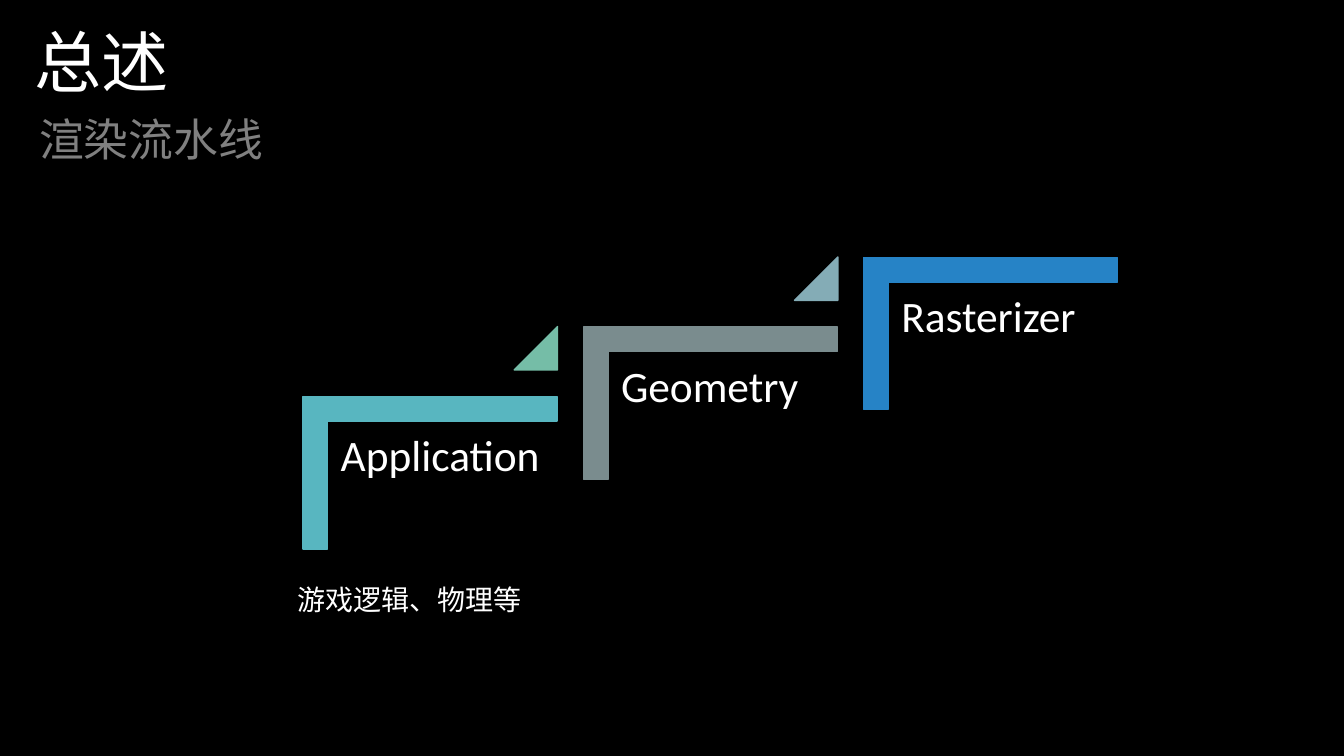
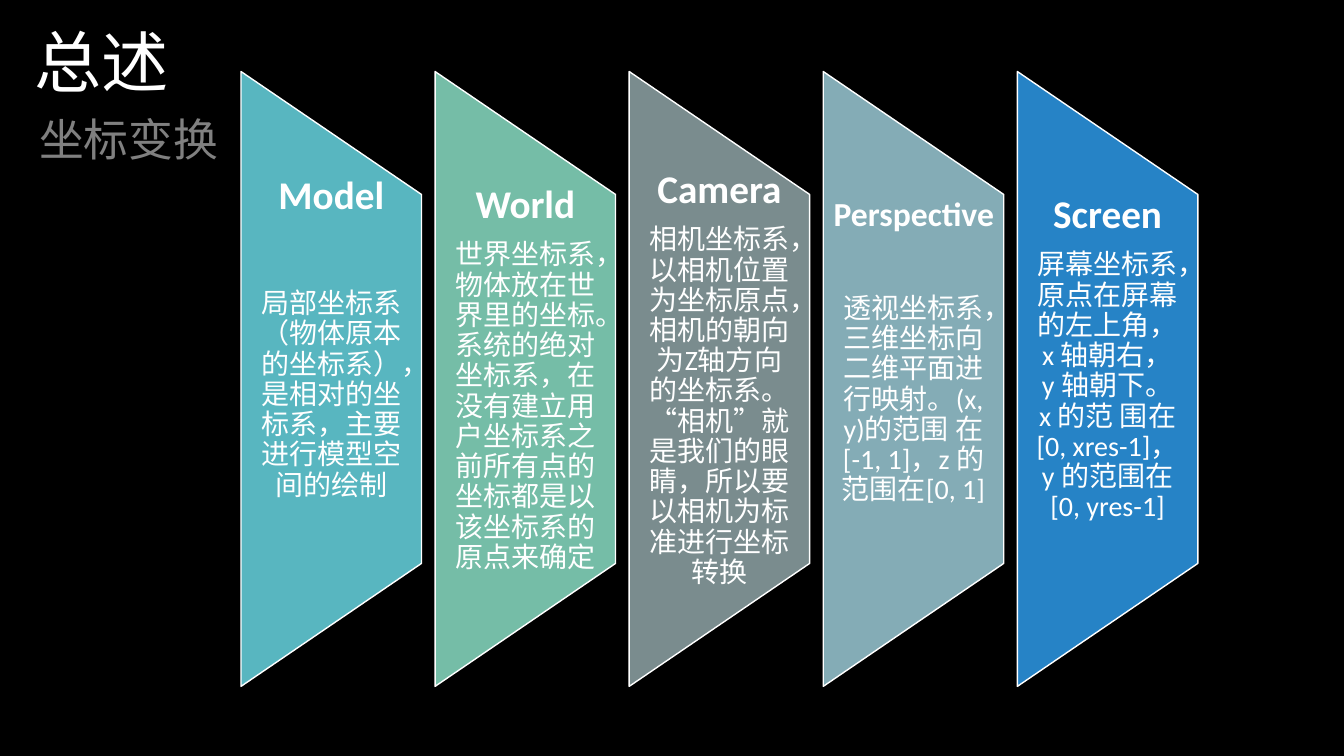
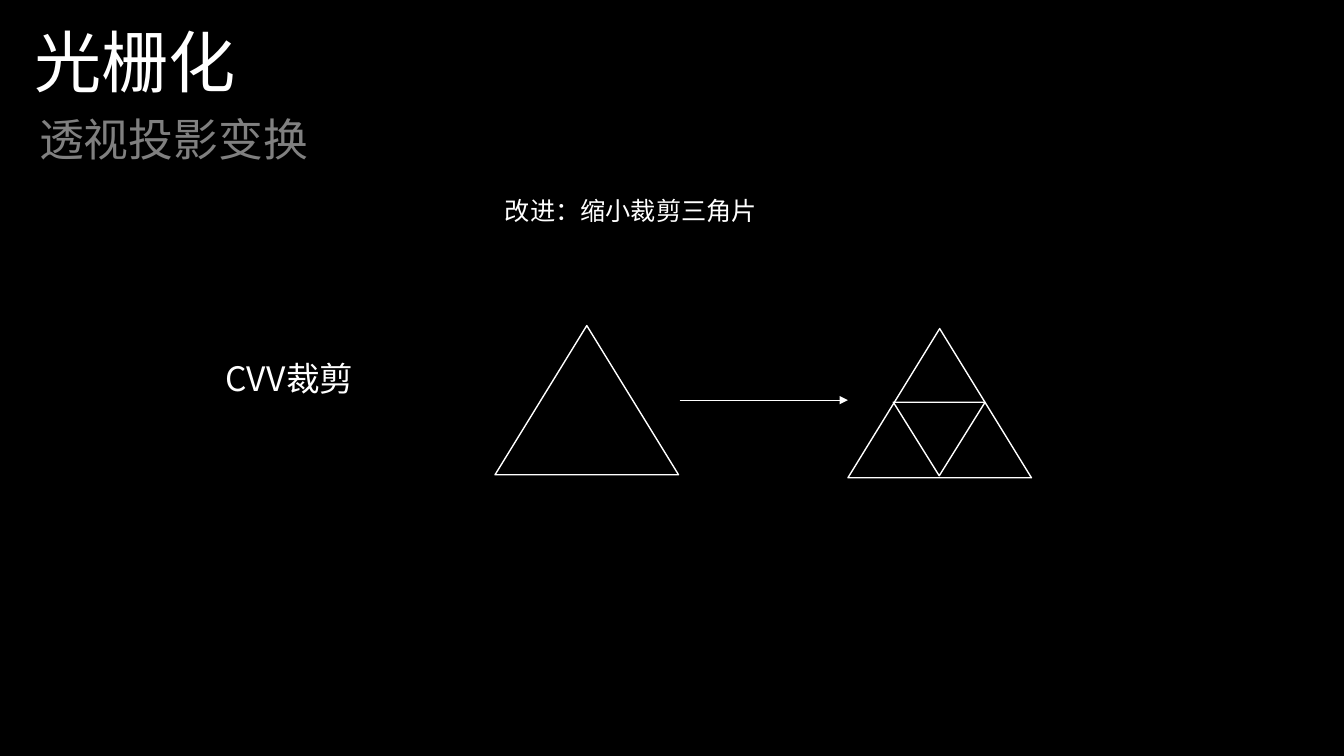
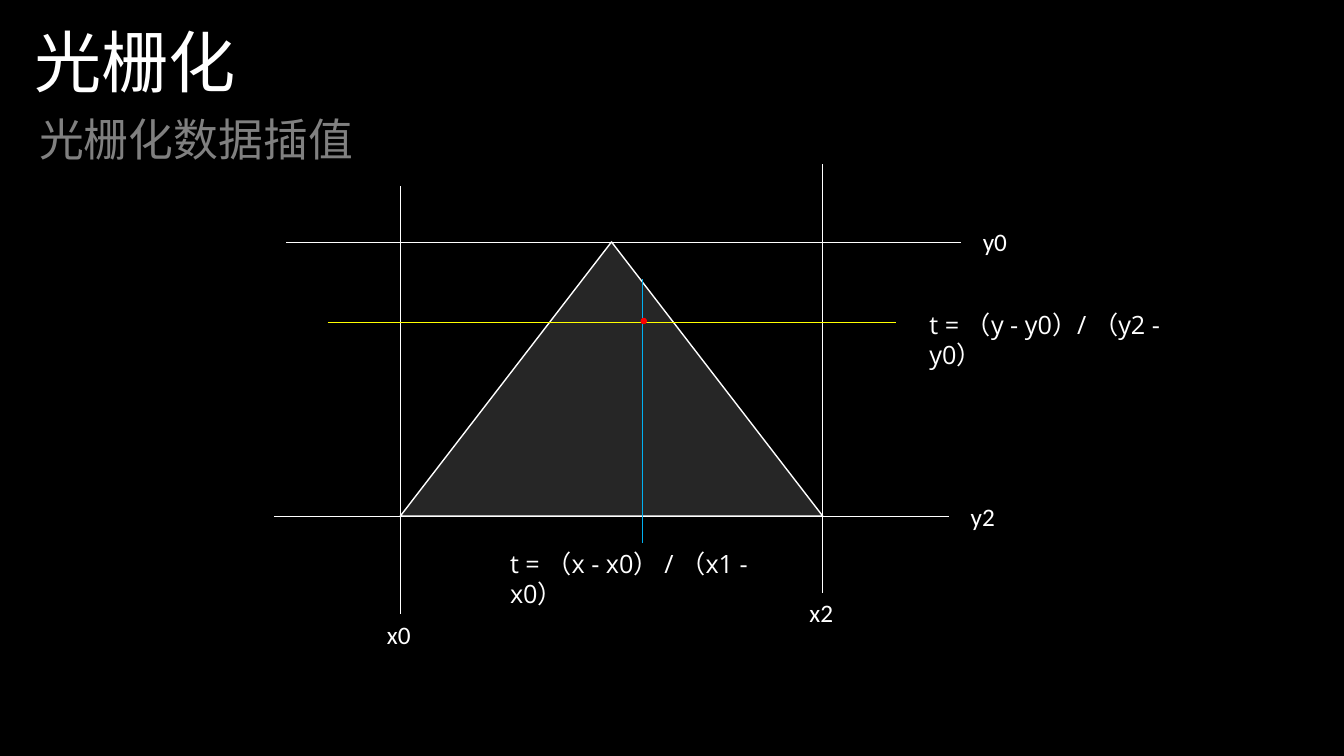
from lxml import etree
from pptx import Presentation
from pptx.dml.color import RGBColor
from pptx.enum import lang, shapes, text
from pptx.oxml import ns
from pptx.util import Inches, Pt

BLACK = RGBColor(0x00, 0x00, 0x00)
WHITE = RGBColor(0xFF, 0xFF, 0xFF)
GRAY = RGBColor(0x80, 0x80, 0x80)
CHARCOAL = RGBColor(0x26, 0x26, 0x26)
TEAL = RGBColor(0x58, 0xB6, 0xC0)
GREEN = RGBColor(0x75, 0xBD, 0xA7)
SLATE = RGBColor(0x7A, 0x8C, 0x8E)
MIST = RGBColor(0x84, 0xAC, 0xB6)
BLUE = RGBColor(0x26, 0x83, 0xC6)
YELLOW = RGBColor(0xFF, 0xFF, 0x00)
CYAN = RGBColor(0x00, 0xB0, 0xF0)
RED = RGBColor(0xFF, 0x00, 0x00)

LATIN_FONT = "Calibri"
CJK_FONT = "Noto Sans CJK SC"
FORMULA_FONT = "Open Sans"

COLUMN_TOP, COLUMN_WIDTH, COLUMN_HEIGHT = 0.71, 1.79, 6.1
COLUMN_SLOPE = 1.22
COLUMN_LEFT = 2.39
COLUMN_PITCH = (10.09 - COLUMN_LEFT) / 4

COLUMNS = [
    ("Model", "局部坐标系（物体原本的坐标系），是相对的坐标系，主要进行模型空间的绘制",
     TEAL, 0.19, 41, 0, 0.8),
    ("World", "世界坐标系，物体放在世界里的坐标。系统的绝对坐标系，在没有建立用户坐标系之前"
     "所有点的坐标都是以该坐标系的原点来确定", GREEN, 0.19, 0, 0, 0),
    ("Camera", "相机坐标系，以相机位置为坐标原点，相机的朝向为Z轴方向的坐标系。"
     "“相机”就是我们的眼睛，所以要以相机为标准进行坐标转换", SLATE, 0.19, 0, 0, 0),
    (None, "透视坐标系，三维坐标向二维平面进行映射。(x, y)的范围 在[-1, 1]，z 的范围在[0, 1]",
     MIST, 0.17, 0, 0.42, 0),
    ("Screen", "屏幕坐标系，原点在屏幕的左上角，x 轴朝右，y 轴朝下。"
     "x 的范 围在[0, xres-1]，y 的范围在[0, yres-1]", BLUE, 0.19, 0, 0, 0.4),
]


def add_run(paragraph, words, size, font=LATIN_FONT, color=WHITE, bold=False):
    run = paragraph.add_run()
    run.text = words
    run.font.name = font
    run.font.size = Pt(size)
    run.font.bold = bold
    run.font.color.rgb = color
    run.font.language_id = lang.MSO_LANGUAGE_ID.SIMPLIFIED_CHINESE


def set_margins(frame, left, top, right, bottom):
    frame.margin_left, frame.margin_top = Inches(left), Inches(top)
    frame.margin_right, frame.margin_bottom = Inches(right), Inches(bottom)


def add_text(slide, box, words, size, font=LATIN_FONT, color=WHITE, bold=False):
    frame = slide.shapes.add_textbox(*map(Inches, box)).text_frame
    frame.word_wrap = True
    add_run(frame.paragraphs[0], words, size, font, color, bold)
    return frame


def paint(shape, fill, line):
    shape.shadow.inherit = False
    if fill is None:
        shape.fill.background()
    else:
        shape.fill.solid()
        shape.fill.fore_color.rgb = fill
    shape.line.color.rgb = line
    shape.line.width = Pt(1)


def add_shape(slide, kind, box, fill=None, line=WHITE, rotation=0):
    shape = slide.shapes.add_shape(kind, *map(Inches, box))
    shape.rotation = rotation
    paint(shape, fill, line)
    return shape


def add_triangle(slide, box, **options):
    return add_shape(slide, shapes.MSO_SHAPE.ISOSCELES_TRIANGLE, box, **options)


def add_corner(slide, box, color, thickness):
    shape = add_shape(slide, shapes.MSO_SHAPE.RECTANGLE, box, color, color, 90)
    geometry = shape._element.spPr.find(ns.qn("a:prstGeom"))
    geometry.set("prst", "corner")
    guides = geometry.find(ns.qn("a:avLst"))
    for name in ("adj1", "adj2"):
        etree.SubElement(guides, ns.qn("a:gd"), name=name, fmla=f"val {thickness}")


def add_line(slide, start, end, color=WHITE, arrow=False):
    connector = slide.shapes.add_connector(
        shapes.MSO_CONNECTOR.STRAIGHT, *map(Inches, start + end))
    connector.line.color.rgb = color
    connector.line.width = Pt(0.5)
    if arrow:
        outline = connector._element.spPr.find(ns.qn("a:ln"))
        etree.SubElement(outline, ns.qn("a:tailEnd"), type="triangle")
    etree.SubElement(connector._element.spPr, ns.qn("a:effectLst"))


def add_titled_slide(presentation, title, subtitle, title_font):
    slide = presentation.slides.add_slide(presentation.slide_layouts[6])
    add_text(slide, (0.24, 0.15, 2.28, 0.91), title, 48, title_font)
    add_text(slide, (0.29, 1.06, 3.33, 0.64), subtitle, 32, color=GRAY)
    return slide


def add_step(slide, index, label, color, triangle_color):
    right, up = 2.78 * index, 0.69 * index
    add_corner(slide, (3.51 + right, 3.43 - up, 1.51, 2.52), color, 16100)
    frame = add_text(slide, (3.25 + right, 4.18 - up, 2.27, 1.99), label, 31)
    set_margins(frame, 0.13, 0.13, 0.13, 0.13)
    frame.paragraphs[0].line_spacing = 0.9
    if triangle_color is not None:
        triangle = add_triangle(slide, (5.1 + right, 3.24 - up, 0.43, 0.43),
                                fill=triangle_color, line=triangle_color)
        triangle.adjustments[0] = 1


def add_column(slide, index, heading, body, color, side, gap, extra_top, extra_bottom):
    left = COLUMN_LEFT + COLUMN_PITCH * index
    right, bottom = left + COLUMN_WIDTH, COLUMN_TOP + COLUMN_HEIGHT
    builder = slide.shapes.build_freeform(Inches(left), Inches(bottom))
    corners = [(left, COLUMN_TOP), (right, COLUMN_TOP + COLUMN_SLOPE),
               (right, bottom - COLUMN_SLOPE)]
    builder.add_line_segments([(Inches(x), Inches(y)) for x, y in corners], close=True)
    shape = builder.convert_to_shape()
    paint(shape, color, WHITE)

    frame = shape.text_frame
    frame.word_wrap = True
    frame.vertical_anchor = text.MSO_ANCHOR.MIDDLE
    set_margins(frame, side, COLUMN_SLOPE + extra_top, side, COLUMN_SLOPE + extra_bottom)
    paragraph = frame.paragraphs[0]
    if heading:
        add_run(paragraph, heading, 28, bold=True)
        paragraph.space_after = Pt(9.8)
        paragraph = frame.add_paragraph()
        paragraph.space_before = Pt(gap)
    add_run(paragraph, body, 20)
    paragraph.space_after = Pt(7)
    for paragraph in frame.paragraphs:
        paragraph.alignment = text.PP_ALIGN.CENTER
        paragraph.line_spacing = 0.9


def build_pipeline(presentation):
    slide = add_titled_slide(presentation, "总述", "渲染流水线", "Arial")
    steps = [("Application", TEAL, GREEN), ("Geometry", SLATE, MIST),
             ("Rasterizer", BLUE, None)]
    for index, step in enumerate(steps):
        add_step(slide, index, *step)
    add_text(slide, (2.85, 5.73, 2.46, 0.44), "游戏逻辑、物理等", 20)


def build_coordinates(presentation):
    slide = add_titled_slide(presentation, "总述", "坐标变换", "Arial")
    for index, column in enumerate(COLUMNS):
        add_column(slide, index, *column)
    add_text(slide, (8.17, 1.86, 1.99, 0.5), "Perspective", 24, bold=True)


def build_clipping(presentation):
    slide = add_titled_slide(presentation, "光栅化", "透视投影变换", CJK_FONT)
    add_text(slide, (2.14, 3.5, 1.9, 0.5), "CVV裁剪", 24, CJK_FONT)
    add_text(slide, (4.91, 1.89, 3.96, 0.4), "改进：缩小裁剪三角片", 18)
    add_triangle(slide, (8.41, 3.26, 1.82, 1.48))
    add_triangle(slide, (4.91, 3.23, 1.82, 1.48))
    add_triangle(slide, (8.86, 3.99, 0.91, 0.73), rotation=180)
    add_line(slide, (6.74, 3.97), (8.41, 3.97), arrow=True)


def build_interpolation(presentation):
    slide = add_titled_slide(presentation, "光栅化", "光栅化数据插值", CJK_FONT)
    left, top, right, bottom = 3.97, 2.4, 8.16, 5.12
    add_triangle(slide, (left, top, right - left, bottom - top), fill=CHARCOAL)
    add_text(slide, (9.12, 3.02, 2.86, 0.4), "t = （y - y0）/ （y2 - y0）", 18, FORMULA_FONT)
    add_text(slide, (4.96, 5.39, 2.82, 0.4), "t = （x - x0） / （x1 - x0）", 18, FORMULA_FONT)
    for label, y, start, end in [("y0", top, 2.84, 9.53), ("y2", bottom, 2.72, 9.41)]:
        add_line(slide, (start, y), (end, y))
        add_text(slide, (end + 0.12, y - 0.2, 0.47, 0.41), label, 18)
    for label, x, start, end in [("x0", left, 1.85, 6.09), ("x2", right, 1.63, 5.88)]:
        add_line(slide, (x, start), (x, end))
        add_text(slide, (x - 0.23, end, 0.47, 0.41), label, 18)
    add_line(slide, (3.25, 3.2), (8.89, 3.2), YELLOW)
    add_line(slide, (6.37, 2.77), (6.37, 5.39), CYAN)
    add_shape(slide, shapes.MSO_SHAPE.OVAL, (6.36, 3.16, 0.05, 0.05), RED, RED)


def main():
    presentation = Presentation()
    presentation.slide_width, presentation.slide_height = Inches(13.33), Inches(7.5)
    background = presentation.slide_master.background.fill
    background.solid()
    background.fore_color.rgb = BLACK
    build_pipeline(presentation)
    build_coordinates(presentation)
    build_clipping(presentation)
    build_interpolation(presentation)
    presentation.save("out.pptx")


if __name__ == "__main__":
    main()
